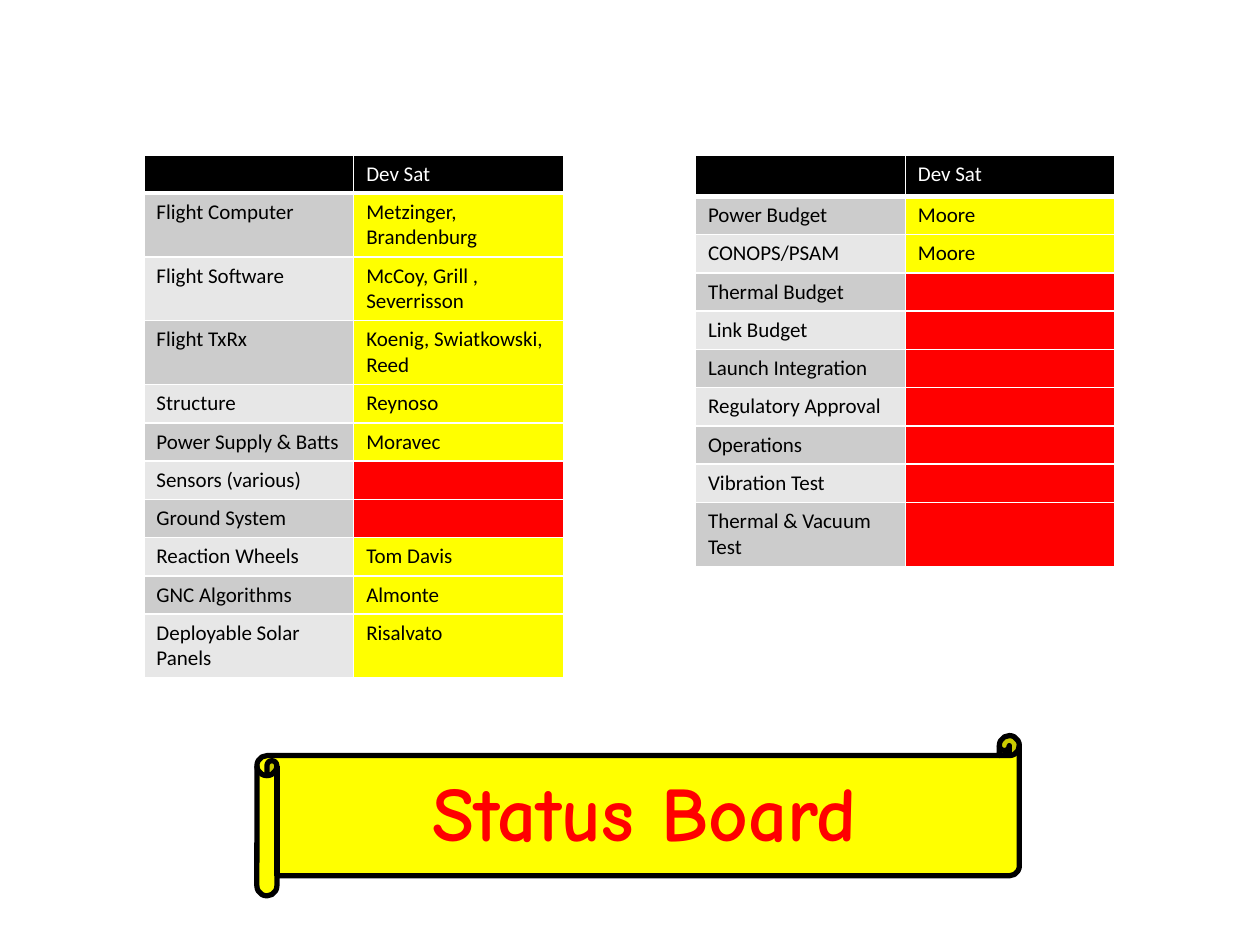
from lxml import etree
from pptx import Presentation
from pptx.dml.color import RGBColor
from pptx.enum.shapes import MSO_SHAPE
from pptx.enum.text import PP_ALIGN
from pptx.oxml.ns import qn
from pptx.util import Cm, Pt

SCROLL = MSO_SHAPE.HORIZONTAL_SCROLL
CENTER = PP_ALIGN.CENTER

COLORS = {
    "header": "000000",
    "dark_band": "CCCCCC",
    "light_band": "E7E7E7",
    "staffed": "FFFF00",
    "open": "FF0000",
    "text": "000000",
    "white": "FFFFFF",
}
COL_W, LINE_H, CELL_PAD = 4.23, 0.51, 0.25
SUBSYSTEMS = [
    ("Flight Computer", "Metzinger, Brandenburg", 2),
    ("Flight Software", "McCoy, Grill , Severrisson", 2),
    ("Flight TxRx", "Koenig, Swiatkowski, Reed", 2),
    ("Structure", "Reynoso", 1),
    ("Power Supply & Batts", "Moravec", 1),
    ("Sensors (various)", "", 1),
    ("Ground System", "", 1),
    ("Reaction Wheels", "Tom Davis", 1),
    ("GNC Algorithms", "Almonte", 1),
    ("Deployable Solar Panels", "Risalvato", 2),
]
SYSTEM_TASKS = [
    ("Power Budget", "Moore", 1),
    ("CONOPS/PSAM", "Moore", 1),
    ("Thermal Budget", "", 1),
    ("Link Budget", "", 1),
    ("Launch Integration", "", 1),
    ("Regulatory Approval", "", 1),
    ("Operations", "", 1),
    ("Vibration Test", "", 1),
    ("Thermal & Vacuum Test", "", 2),
]


def rgb(name):
    """Return the named colour."""
    return RGBColor.from_string(COLORS[name])


def write(tf, text, size=12, color="text", font="Calibri", bold=False, align=None):
    """Write one formatted paragraph, keeping its size when it is empty."""
    p = tf.paragraphs[0]
    p.alignment = align
    if not text:
        etree.SubElement(p._p, qn("a:endParaRPr"), sz=str(size * 100))
        return
    r = p.add_run()
    r.text = text
    r.font.size = Pt(size)
    r.font.name = font
    r.font.bold = bold
    r.font.color.rgb = rgb(color)


def set_borders(cell, bottom=1):
    """Draw white borders round a cell."""
    tc_pr = cell._tc.get_or_add_tcPr()
    for side in "LRTB":
        width = bottom if side == "B" else 1
        ln = etree.SubElement(tc_pr, qn(f"a:ln{side}"), w=str(Pt(width)))
        fill = etree.SubElement(ln, qn("a:solidFill"))
        etree.SubElement(fill, qn("a:srgbClr"), val=COLORS["white"])


def fill_cell(cell, text, fill, color="text", bottom=1):
    """Set the borders, fill and text of a cell."""
    set_borders(cell, bottom)
    cell.fill.solid()
    cell.fill.fore_color.rgb = rgb(fill)
    write(cell.text_frame, text, color=color)


def add_status_table(slide, left, top, tasks, header_h):
    """Add a table of tasks and owners, coloured by whether anyone owns them."""
    heights = [header_h] + [lines * LINE_H + CELL_PAD for _, _, lines in tasks]
    table = slide.shapes.add_table(
        len(heights), 2, Cm(left), Cm(top), Cm(2 * COL_W), Cm(sum(heights))
    ).table
    for col in table.columns:
        col.width = Cm(COL_W)
    for row, height in zip(table.rows, heights):
        row.height = Cm(height)
    for i, text in enumerate(("", "Dev Sat")):
        fill_cell(table.cell(0, i), text, "header", "white", bottom=3)
    for i, (task, owner, _) in enumerate(tasks, 1):
        fill_cell(table.cell(i, 0), task, "dark_band" if i % 2 else "light_band")
        fill_cell(table.cell(i, 1), owner, "staffed" if owner else "open")


def add_banner(slide, left, top, width, height, title):
    """Add a scroll with a centred title over it."""
    group = slide.shapes.add_group_shape()
    sp = group.shapes.add_shape(SCROLL, Cm(left), Cm(top), Cm(width), Cm(height))
    sp.shadow.inherit = False
    sp.fill.solid()
    sp.fill.fore_color.rgb = rgb("staffed")
    sp.line.color.rgb = rgb("header")
    sp.line.width = Pt(3)
    box = group.shapes.add_textbox(
        Cm(left - 0.76), Cm(top + 0.46), Cm(width + 1.78), Cm(2.13)
    )
    box.text_frame.word_wrap = True
    write(box.text_frame, title, size=44, color="open", font="Comic Neue",
          bold=True, align=CENTER)


def main():
    """Build the status board slide."""
    prs = Presentation()
    prs.slide_width, prs.slide_height = Cm(25.4), Cm(19.05)
    slide = prs.slides.add_slide(prs.slide_layouts[6])
    add_status_table(slide, 2.9, 3.12, SUBSYSTEMS, 0.76)
    add_status_table(slide, 14.02, 3.12, SYSTEM_TASKS, 0.84)
    add_banner(slide, 5.18, 14.83, 15.37, 3.23, "Status Board")
    prs.save("out.pptx")


if __name__ == "__main__":
    main()
